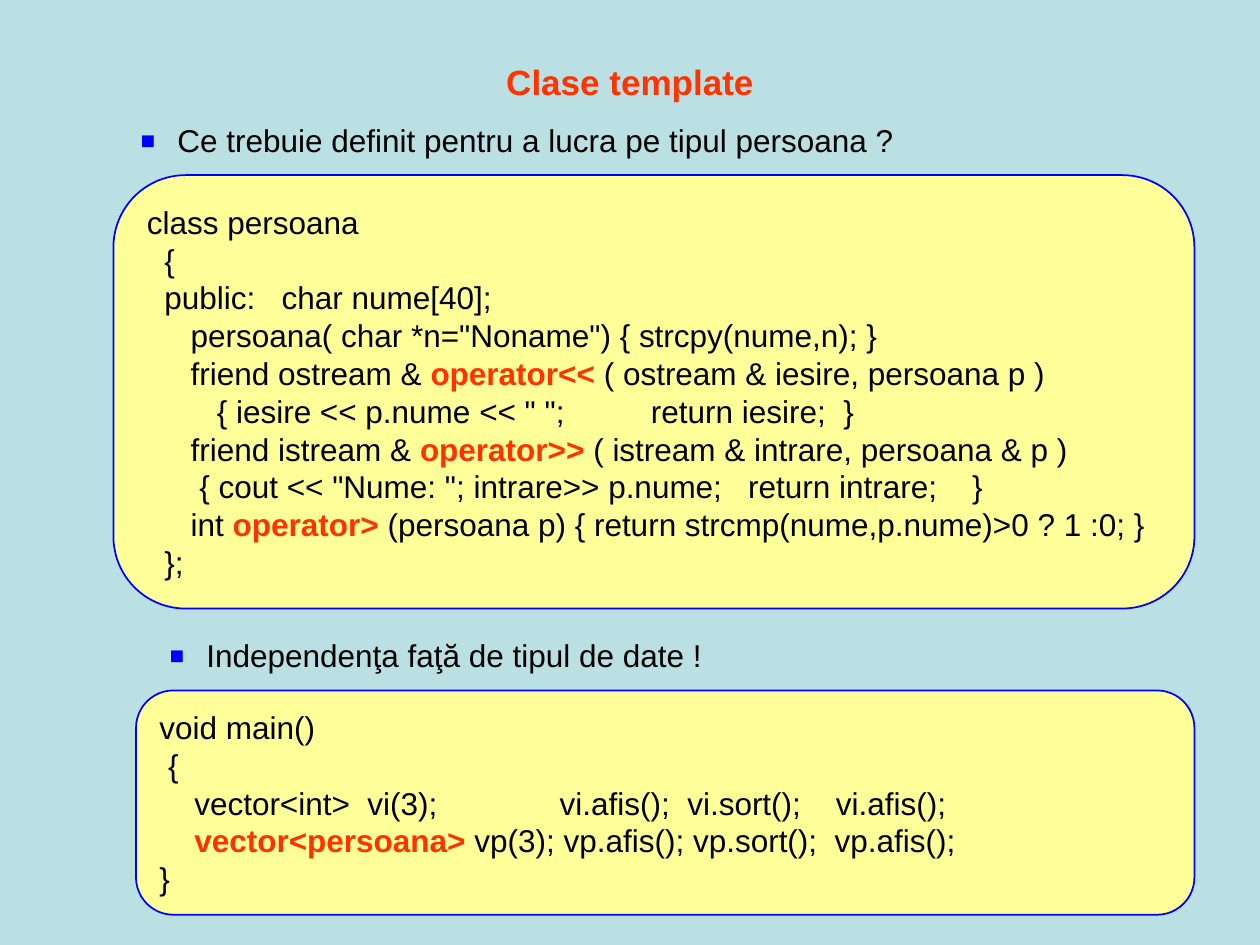
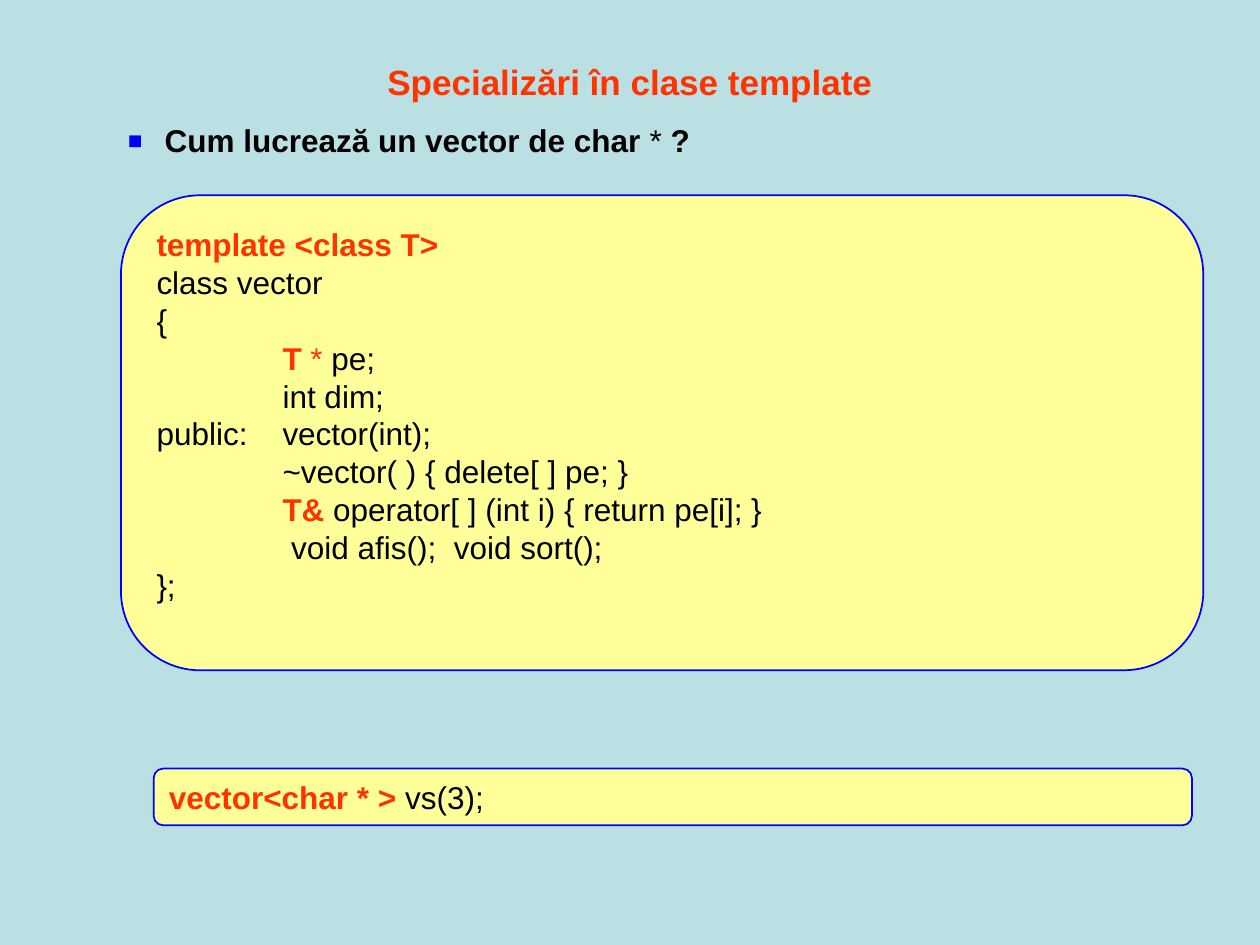
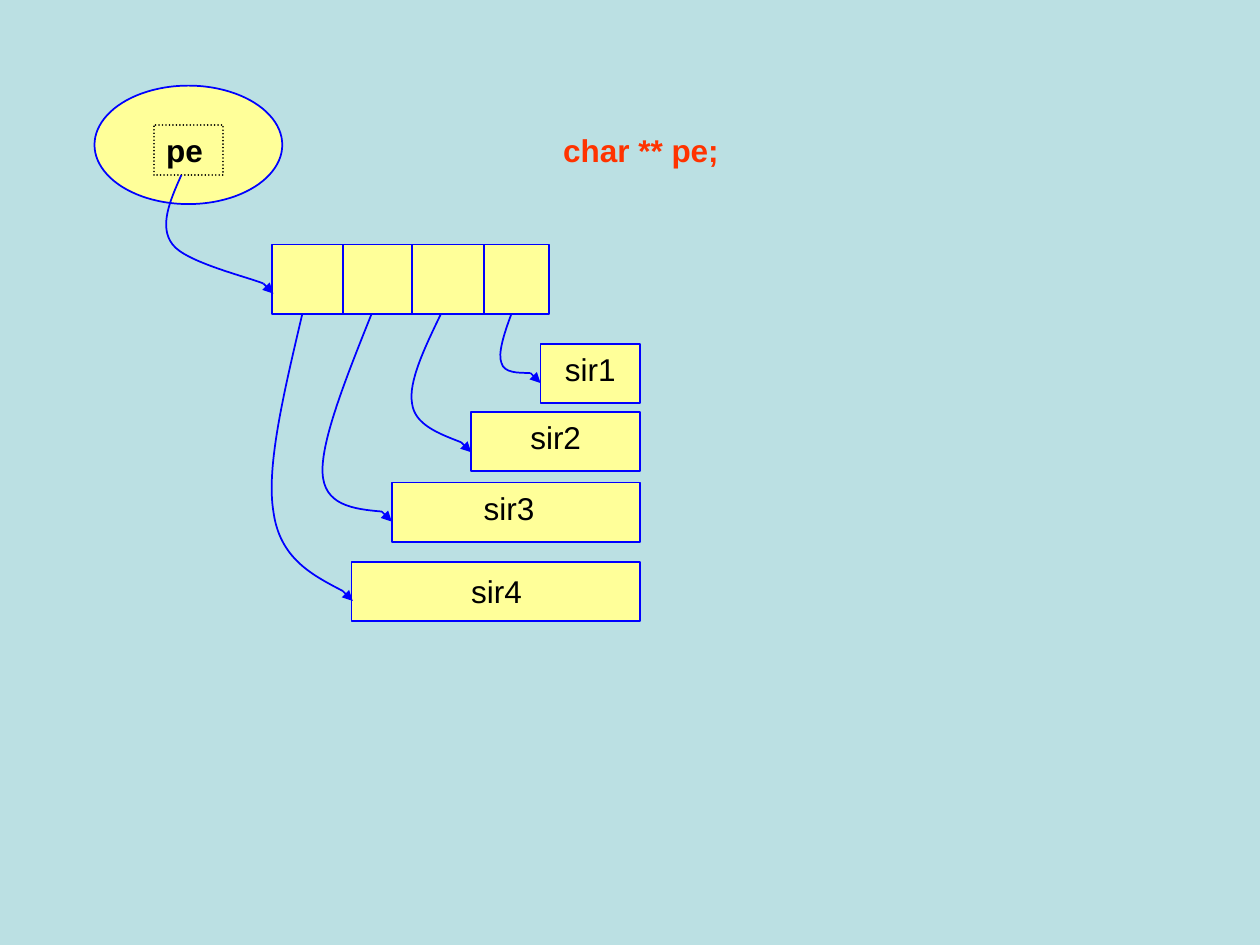
import pptx
import pptx.util
import pptx.dml.color
import pptx.enum.dml
import pptx.enum.shapes
import pptx.enum.text
import lxml.etree

Inches, Pt = pptx.util.Inches, pptx.util.Pt
SHAPE = pptx.enum.shapes.MSO_SHAPE
ALIGN = pptx.enum.text.PP_ALIGN
ANCHOR = pptx.enum.text.MSO_ANCHOR

FONT = "Arial"
COLORS = {"back": "BBE0E3", "box": "FFFF99", "line": "0000FF",
          "text": "000000", "hot": "FF3300"}
# Run style: colour, bold
STYLES = {"plain": ("text", False), "bold": ("text", True),
          "hot": ("hot", True), "red": ("hot", False)}

# Content: a line is a string or a list of strings and (text, style) runs
PERSON = [
    "class persoana",
    "  {",
    "  public:   char nume[40];",
    '     persoana( char *n="Noname") { strcpy(nume,n); }',
    ["     friend ostream & ", ("operator<<", "hot"),
     " ( ostream & iesire, persoana p )"],
    '        { iesire << p.nume << " ";\treturn iesire;  }',
    ["     friend istream & ", ("operator>>", "hot"),
     " ( istream & intrare, persoana & p )"],
    '      { cout << "Nume: "; intrare>> p.nume;   return intrare;    }',
    ["     int ", ("operator>", "hot"),
     " (persoana p) { return strcmp(nume,p.nume)>0 ? 1 :0; }"],
    "  };",
]
MAIN = [
    "void main()",
    " {",
    "    vector<int>  vi(3);              vi.afis();  vi.sort();    vi.afis();",
    ["    ", ("vector<persoana>", "hot"),
     " vp(3); vp.afis(); vp.sort();  vp.afis();"],
    "}",
]
VECTOR = [
    [("template <class T>", "hot")],
    "class vector",
    "{",
    ["   \t", ("T ", "hot"), ("*", "red"), " pe;"],
    "   \tint dim;",
    "public:   \tvector(int);",
    "   \t~vector( ) { delete[ ] pe; }",
    ["   \t", ("T&", "hot"), " operator[ ] (int i) { return pe[i]; }"],
    "  \t void afis();  void sort();",
    "};",
]
USAGE = [[("vector<char * >", "hot"), " vs(3);"]]

# Bullets: left, top, indent, line; codes: box, lines, bottom inset
PAGES = [
    {"title": "Clase template",
     "bullets": [
         (0.75, 0.91, 0.26, " Ce trebuie definit pentru a lucra pe tipul persoana ?"),
         (0.98, 5, 0.26, " Independenţa faţă de tipul de date !")],
     "codes": [((0.9, 1.39, 8.58, 3.44), PERSON, 0.05),
               ((1.08, 5.48, 8.4, 1.78), MAIN, 0.05)]},
    {"title": "Specializări în clase template",
     "bullets": [
         (0.91, 0.91, 0, [" ", ("Cum lucrează un vector de char ", "bold"), "*",
                          (" ?", "bold")])],
     "codes": [((0.96, 1.55, 8.59, 3.77), VECTOR, 0.34),
               ((1.22, 6.1, 8.24, 0.45), USAGE, 0.05)]},
]
HANG = 0.23
TABS = range(8)

# Strings: name, box left, box top, label box, label alignment, curve points
RIGHT, HIGH = 5.08, 0.47
STRINGS = [
    ("sir1", 4.29, 2.73, (4.29, 2.73, 0.79, 0.4), ALIGN.CENTER,
     [(4.06, 2.49), (4, 2.65), (3.95, 2.81), (3.98, 2.88),
      (4, 2.96), (4.11, 2.96), (4.21, 2.96)]),
    ("sir2", 3.74, 3.27, (3.74, 3.27, 1.34, 0.4), ALIGN.CENTER,
     [(3.5, 2.49), (3.37, 2.76), (3.24, 3.03), (3.27, 3.2),
      (3.29, 3.37), (3.48, 3.44), (3.66, 3.51)]),
    ("sir3", 3.11, 3.83, (3.74, 3.83, 1.34, 0.4), ALIGN.LEFT,
     [(2.95, 2.49), (2.75, 2.99), (2.55, 3.49), (2.56, 3.75),
      (2.57, 4.01), (2.8, 4.04), (3.03, 4.06)]),
    ("sir4", 2.79, 4.46, (3.27, 4.49, 1.34, 0.4), ALIGN.CENTER,
     [(2.4, 2.49), (2.26, 3.09), (2.11, 3.7), (2.17, 4.06),
      (2.22, 4.43), (2.47, 4.56), (2.72, 4.69)]),
]
HEAD = [(1.44, 1.39), (1.35, 1.59), (1.26, 1.8), (1.37, 1.94),
        (1.47, 2.08), (1.97, 2.2), (2.09, 2.25)]
CELLS = (2.16, 1.94, 2.2, 0.55)
SPLITS = [2.72, 3.27, 3.84]
TIP = 0.08


def tint(name):
    return pptx.dml.color.RGBColor.from_string(COLORS[name])


def sub(node, tag, **attrs):
    return lxml.etree.SubElement(node, pptx.oxml.ns.qn(tag), **attrs)


def outline(shape, color="line"):
    shape.line.color.rgb = tint(color)
    shape.line.width = Pt(1)


def write(shape, lines, align=ALIGN.LEFT, size=18):
    """Fill a shape with lines made of styled runs."""
    frame = shape.text_frame
    frame.word_wrap = True
    for num, line in enumerate(lines):
        para = frame.paragraphs[0] if num == 0 else frame.add_paragraph()
        para.alignment = align
        for part in [line] if isinstance(line, str) else line:
            text, style = (part, "plain") if isinstance(part, str) else part
            color, bold = STYLES[style]
            run = para.add_run()
            run.text = text
            run.font.name, run.font.size = FONT, Pt(size)
            run.font.bold = bold
            run.font.color.rgb = tint(color)


def label(slide, box, line, align=ALIGN.LEFT):
    shape = slide.shapes.add_textbox(*map(Inches, box))
    write(shape, [line], align)
    return shape


def bullet(slide, left, top, indent, line):
    shape = label(slide, (left, top, 8.66, 0.4), line)
    props = shape.text_frame.paragraphs[0]._p.get_or_add_pPr()
    props.set("marL", str(Inches(indent + HANG)))
    props.set("indent", str(Inches(-HANG)))
    sub(sub(props, "a:buClr"), "a:srgbClr", val=COLORS["line"])
    sub(props, "a:buSzPct", val="150000")
    sub(props, "a:buFont", typeface=FONT)
    sub(props, "a:buChar", char="▪")


def panel(shapes, kind, box):
    shape = shapes.add_shape(kind, *map(Inches, box))
    shape.shadow.inherit = False
    shape.fill.solid()
    shape.fill.fore_color.rgb = tint("box")
    outline(shape)
    return shape


def code(slide, box, lines, bottom):
    shape = panel(slide.shapes, SHAPE.ROUNDED_RECTANGLE, box)
    shape.text_frame.vertical_anchor = ANCHOR.MIDDLE
    shape.text_frame.margin_bottom = Inches(bottom)
    write(shape, lines)
    for para in shape.text_frame.paragraphs:
        stops = sub(para._p.get_or_add_pPr(), "a:tabLst")
        for stop in TABS:
            sub(stops, "a:tab", pos=str(Inches(stop)), algn="l")


def link(shapes, start, end, arrow=False):
    line = shapes.add_connector(pptx.enum.shapes.MSO_CONNECTOR.STRAIGHT,
                                *map(Inches, start + end))
    outline(line)
    if arrow:
        sub(line.line._get_or_add_ln(), "a:tailEnd", type="triangle")
    sub(line._element.spPr, "a:effectLst")


def curve(slide, points):
    """Draw two joined cubic curves, then a short arrow to the tip."""
    spots = [(Inches(x), Inches(y)) for x, y in points]
    build = slide.shapes.build_freeform(*spots[0])
    build.add_line_segments(spots[1:], close=False)
    shape = build.convert_to_shape()
    # Each three straight segments become one cubic segment
    legs = list(shape._element.iter(pptx.oxml.ns.qn("a:lnTo")))
    trace = legs[0].getparent()
    for first in range(0, len(legs), 3):
        bend = sub(trace, "a:cubicBezTo")
        for leg in legs[first:first + 3]:
            bend.append(leg[0])
            trace.remove(leg)
    shape.shadow.inherit = False
    shape.fill.background()
    outline(shape)
    x, y = points[-1]
    link(slide.shapes, (x, y), (x + TIP, y + TIP), arrow=True)


def page(deck, title, bullets, codes):
    slide = deck.slides.add_slide(deck.slide_layouts[5])
    head = slide.shapes.title
    head.left, head.top, head.width, head.height = map(Inches, (0.5, 0.3, 9, 0.69))
    head.text_frame.vertical_anchor = ANCHOR.MIDDLE
    write(head, [[(title, "hot")]], ALIGN.CENTER, 20)
    for item in codes:
        code(slide, *item)
    for item in bullets:
        bullet(slide, *item)


def memory(deck):
    slide = deck.slides.add_slide(deck.slide_layouts[6])
    # Pointer
    panel(slide.shapes, SHAPE.OVAL, (0.75, 0.68, 1.49, 0.94))
    frame = panel(slide.shapes, SHAPE.RECTANGLE, (1.22, 0.99, 0.55, 0.4))
    frame.fill.background()
    outline(frame, "text")
    frame.line.dash_style = pptx.enum.dml.MSO_LINE.ROUND_DOT
    frame.line._get_or_add_ln().set("cap", "rnd")
    frame.text_frame.vertical_anchor = ANCHOR.TOP
    write(frame, [[("pe", "bold")]])
    # Array of pointers
    cells = slide.shapes.add_group_shape().shapes
    panel(cells, SHAPE.RECTANGLE, CELLS)
    top, high = CELLS[1], CELLS[3]
    for x in SPLITS:
        link(cells, (x, top), (x, top + high))
    curve(slide, HEAD)
    # Strings
    for name, left, top, box, align, points in STRINGS:
        panel(slide.shapes, SHAPE.RECTANGLE, (left, top, RIGHT - left, HIGH))
        label(slide, box, name, align)
        curve(slide, points)
    label(slide, (4.37, 0.99, 4.02, 0.4), [("char ** pe;", "hot")])


def main():
    deck = pptx.Presentation()
    deck.slide_width, deck.slide_height = Inches(10), Inches(7.5)
    fill = deck.slide_master.background.fill
    fill.solid()
    fill.fore_color.rgb = tint("back")
    for item in PAGES:
        page(deck, **item)
    memory(deck)
    deck.save("out.pptx")


if __name__ == "__main__":
    main()
